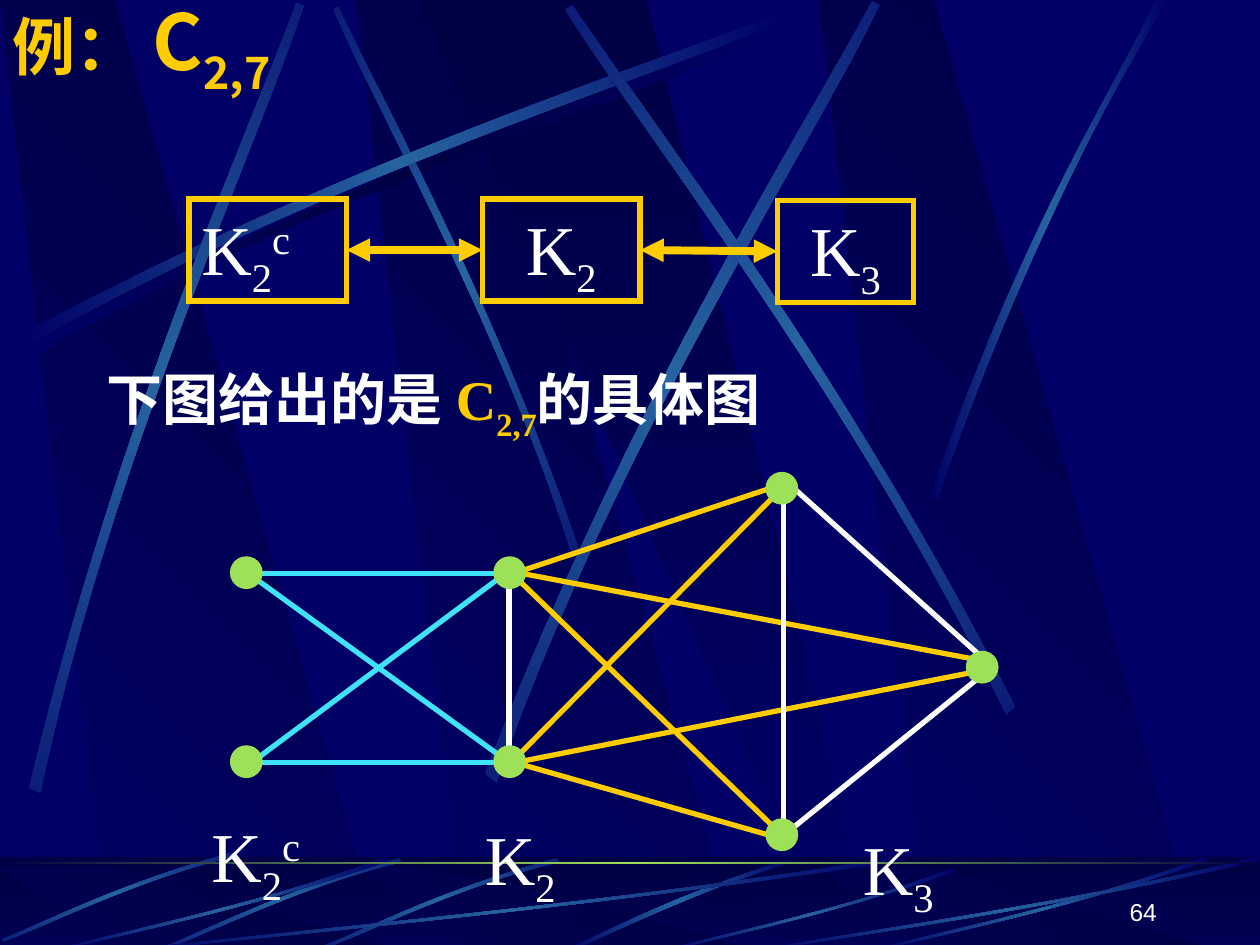
from itertools import chain
from math import cos, radians, sin

from lxml.etree import SubElement
from pptx import Presentation
from pptx.dml.color import RGBColor
from pptx.enum.shapes import MSO_CONNECTOR as Link, MSO_SHAPE as Preset
from pptx.enum.text import MSO_ANCHOR as Anchor, PP_ALIGN as Align
from pptx.oxml.ns import qn
from pptx.util import Inches, Pt

CELL = Inches(1)
COLS, ROWS = 10, 7.5
NAVY, DARK, BLUE = "000066", "000044", "2663A0"
GOLD, CYAN, GREEN, WHITE = "FFCC00", "40E2F8", "9CE157", "FFFFFF"
SERIF, HAN = "Times New Roman", "Noto Sans CJK SC"


def paint(item, *colours, angle=0, outline=None, width=0.75):
    if len(colours) == 1:
        item.fill.solid()
        item.fill.fore_color.rgb = RGBColor.from_string(colours[0])
    elif colours:
        item.fill.gradient()
        item.fill.gradient_angle = -angle % 360
        stops = item.element.spPr.find(".//" + qn("a:gsLst"))
        stops[:] = []
        for place, colour in enumerate(colours):
            stop = SubElement(stops, qn("a:gs"), pos=str(100000 * place // (len(colours) - 1)))
            SubElement(stop, qn("a:srgbClr"), val=colour)
    if outline:
        item.line.color.rgb = RGBColor.from_string(outline)
        item.line.width = Pt(width)
        SubElement(item.element.spPr.find(qn("a:ln")), qn("a:miter"), lim="800000")
    else:
        item.line.fill.background()
    SubElement(item.element.spPr, qn("a:effectLst"))


def write(frame, text, font=SERIF, size=40, colour=WHITE, bold=False, base=0):
    run = frame.paragraphs[0].add_run()
    run.text = text
    run.font.size, run.font.bold = Pt(size), bold
    run.font.color.rgb = RGBColor.from_string(colour)
    run.font.name = font
    props = run.font._element
    SubElement(props, qn("a:ea"), typeface=font)
    if base:
        props.set("baseline", str(base * 1000))


deck = Presentation()
deck.slide_width, deck.slide_height = COLS * CELL, int(ROWS * CELL)
slide = deck.slides.add_slide(deck.slide_layouts[6])
slide.background.fill.solid()
slide.background.fill.fore_color.rgb = RGBColor.from_string(NAVY)
shapes = slide.shapes

slabs = [
    ((3.69, 5.85, 3.74, 2.83), (NAVY, DARK), 315),
    ((0.86, 3.02, 0.91, 0), (NAVY, DARK), 315),
    ((7.36, 9.52, 7.41, 6.5), (NAVY, DARK), 315),
    ((6.58, 6.94, 5.13, 3.33), (DARK, NAVY), 90),
]
wall_ribbons = [
    (DARK, 0, (0, 0), [(0.2, 2.75), (2.84, 1.34), (5.24, 0.59), (6.26, 0.18),
                       (6.29, 0.24), (5.28, 0.69), (2.54, 1.51), (0.23, 2.85)]),
    (BLUE, 45, (3.62, 2.23), [(4.6, 4.36), (3.91, 2.34), (3.02, 0.77), (2.69, 0.05),
                              (2.65, 0.07), (2.95, 0.79), (3.98, 2.58), (4.54, 4.39)]),
    (BLUE, 0, (0, 0), [(0.14, 2.67), (2.78, 1.25), (5.18, 0.51), (6.2, 0.1),
                       (6.23, 0.16), (5.22, 0.61), (2.48, 1.43), (0.17, 2.77)]),
    (BLUE, 311.7, (1.33, 3.16), [(0.23, 6.25), (0.93, 3.34), (1.97, 1.05), (2.35, 0.02),
                                 (2.41, 0.04), (2.07, 1.09), (0.86, 3.68), (0.32, 6.29)]),
    (BLUE, 321.6, (5.43, 3.11), [(3.85, 6.14), (4.98, 3.2), (6.38, 1.02), (6.92, 0.01),
                                 (6.98, 0.04), (6.49, 1.08), (4.86, 3.55), (3.94, 6.21)]),
    (BLUE, 34.7, (6.27, 2.86), [(8.06, 5.6), (6.7, 2.93), (5.16, 0.95), (4.55, 0.04),
                                (4.49, 0.07), (5.07, 1.01), (6.85, 3.25), (7.99, 5.67)]),
    (BLUE, 0, (0, 0), [(7.38, 3.94), (8.14, 1.73), (8.88, 0.66), (9.17, 0),
                       (9.27, 0), (8.36, 1.45), (7.69, 3.22), (7.44, 3.97)]),
]
floor_ribbons = [
    (BLUE, 0, (0, 0), [(6.27, 6.82), (5.37, 7.09), (4.77, 7.42), (4.48, 7.54),
                       (4.53, 7.55), (4.9, 7.38), (5.71, 7), (6.28, 6.85)])
]
for shift, drop in ((2.56, 0.05), (1.31, 0.05), (0, 0)):
    streak = [(1.85, 6.76), (0.98, 6.99), (0.32, 7.33), (0.01, 7.45),
              (0.02, 7.47), (0.33, 7.36), (1.09, 6.97), (1.87, 6.79)]
    floor_ribbons.append((BLUE, 315, (0.94 + shift, 7.13 + drop),
                          [(x + shift, y + drop) for x, y in streak]))
for left, span, top in ((1, 6.17, 6.8), (0.42, 2.67, 6.8), (5.27, 2.31, 6.89),
                        (6.92, 2.67, 6.8), (6, 4, 6.8)):
    streak = [(1, 0.04), (0.57, 0.57), (0.17, 0.85), (0.01, 1),
              (0, 0.99), (0.17, 0.81), (0.62, 0.51), (0.99, 0)]
    floor_ribbons.append((BLUE, 0, (0, 0),
                          [(left + span * x, top + (7.55 - top) * y) for x, y in streak]))

for top, ribbons in ((0, wall_ribbons), (6.88, floor_ribbons)):
    if top:
        floor = shapes.add_shape(Preset.RECTANGLE, 0, 6.8 * CELL, COLS * CELL, 0.7 * CELL)
        paint(floor, DARK, NAVY, angle=90)
    for rim, colours, angle in slabs:
        corners = [(x * CELL, y * CELL) for x, y in zip(rim, (ROWS, ROWS, top, top))]
        outline = shapes.build_freeform(*corners[0])
        outline.add_line_segments(corners[1:], close=True)
        paint(outline.convert_to_shape(), *colours, angle=angle)
    if top:
        veil = shapes.add_shape(Preset.RECTANGLE, 0, 6.8 * CELL, COLS * CELL, 0.7 * CELL)
        paint(veil, DARK)
        SubElement(veil.element.spPr.find(".//" + qn("a:srgbClr")), qn("a:alpha"), val="50000")
    for middle, turn, (cx, cy), bends in ribbons:
        c, s = cos(radians(turn)), sin(radians(turn))
        flat = [((cx + (x - cx) * c + (y - cy) * s) * CELL,
                 (cy - (x - cx) * s + (y - cy) * c) * CELL) for x, y in bends]
        outline = shapes.build_freeform(*flat[0])
        outline.add_line_segments(flat[1:], close=True)
        ribbon = outline.convert_to_shape()
        steps = ribbon.element.spPr.findall(".//" + qn("a:lnTo"))
        for first, second, last in (steps[:3], steps[4:]):
            curve = first.makeelement(qn("a:cubicBezTo"))
            first.addprevious(curve)
            for step in (first, second, last):
                curve.append(step[0])
                step.getparent().remove(step)
        ribbon.rotation = turn
        paint(ribbon, NAVY, middle, NAVY)

horizon = shapes.add_shape(Preset.RECTANGLE, 0, 6.84 * CELL, COLS * CELL, 0.02 * CELL)
paint(horizon, DARK, GREEN, DARK)

title = shapes.add_textbox(0, 0, 8.5 * CELL, 0.73 * CELL).text_frame
title.word_wrap, title.vertical_anchor = True, Anchor.MIDDLE
for text, size, base in (("例： ", 36, 0), ("C", 44, 0), ("2,7", 44, -25)):
    write(title, text, font=HAN, size=size, colour=GOLD, bold=True, base=base)

sentence = shapes.add_textbox(0.75 * CELL, 2.84 * CELL, 7.83 * CELL, 0.63 * CELL).text_frame
sentence.word_wrap = True
for text, font, colour, base in (("下图给出的是 ", HAN, WHITE, 0), ("C", SERIF, GOLD, 0),
                                 ("2,7", SERIF, GOLD, -30), ("的具体图", HAN, WHITE, 0)):
    write(sentence, text, font=font, size=32, colour=colour, bold=True, base=base)

edges = {
    CYAN: [(1.98, 4.55, 3.98, 4.55), (1.97, 4.55, 4.08, 6.08),
           (1.98, 6.05, 3.98, 6.05), (2, 6.05, 4.08, 4.5)],
    GOLD: [(4.08, 4.55, 6.25, 3.83), (4.05, 4.54, 6.25, 6.67), (4.08, 4.54, 7.83, 5.25),
           (4.08, 6.05, 6.25, 6.67), (4.06, 6.05, 6.25, 3.83), (4.1, 6.05, 7.75, 5.33)],
    WHITE: [(4.04, 4.52, 4.04, 6.1), (6.22, 3.9, 6.22, 6.67),
            (6.25, 3.83, 7.83, 5.25), (6.17, 6.67, 7.83, 5.33)],
}
for colour, ends in chain.from_iterable(((c, e) for e in group) for c, group in edges.items()):
    edge = shapes.add_connector(Link.STRAIGHT, *(int(v * CELL) for v in ends))
    paint(edge, outline=colour, width=3)

for x, y in ((1.83, 4.42), (1.83, 5.92), (3.92, 4.42), (3.92, 5.92),
             (6.08, 3.75), (6.08, 6.5), (7.67, 5.17)):
    node = shapes.add_shape(Preset.OVAL, x * CELL, y * CELL, 0.25 * CELL, 0.25 * CELL)
    paint(node, GREEN, outline=GREEN)

boxes = []
for index, power, left, top, width, caption_left, caption_top, caption_width in (
        ("2", "c", 1.5, 1.58, 1.25, 1.58, 6.4, 0.96),
        ("2", "", 3.83, 1.58, 1.25, 3.75, 6.42, 0.79),
        ("3", "", 6.17, 1.59, 1.08, 6.75, 6.5, 0.79)):
    box = shapes.add_shape(Preset.RECTANGLE, left * CELL, top * CELL, width * CELL, 0.81 * CELL)
    box.fill.background()
    paint(box, outline=GOLD, width=3)
    box.text_frame.vertical_anchor = Anchor.TOP
    box.text_frame.paragraphs[0].alignment = Align.LEFT if power else Align.CENTER
    boxes.append(box)
    caption = shapes.add_textbox(caption_left * CELL, caption_top * CELL,
                                 caption_width * CELL, 0.77 * CELL)
    caption.text_frame.word_wrap = False
    for frame in (box.text_frame, caption.text_frame):
        write(frame, "K")
        write(frame, index, base=-25)
        if power:
            write(frame, power, base=30)

for before, after in zip(boxes, boxes[1:]):
    arrow = shapes.add_connector(Link.STRAIGHT, 0, 0, 0, 0)
    arrow.begin_connect(before, 3)
    arrow.end_connect(after, 1)
    paint(arrow, outline=GOLD, width=4.5)
    for tip in ("a:headEnd", "a:tailEnd"):
        SubElement(arrow.element.spPr.find(qn("a:ln")), qn(tip), type="triangle")

number = shapes.add_textbox(7.2 * CELL, 6.9 * CELL, 2.08 * CELL, 0.5 * CELL).text_frame
number.word_wrap, number.vertical_anchor = True, Anchor.BOTTOM
number.paragraphs[0].alignment = Align.RIGHT
write(number, "64", font="Arial", size=14)

deck.save("out.pptx")
